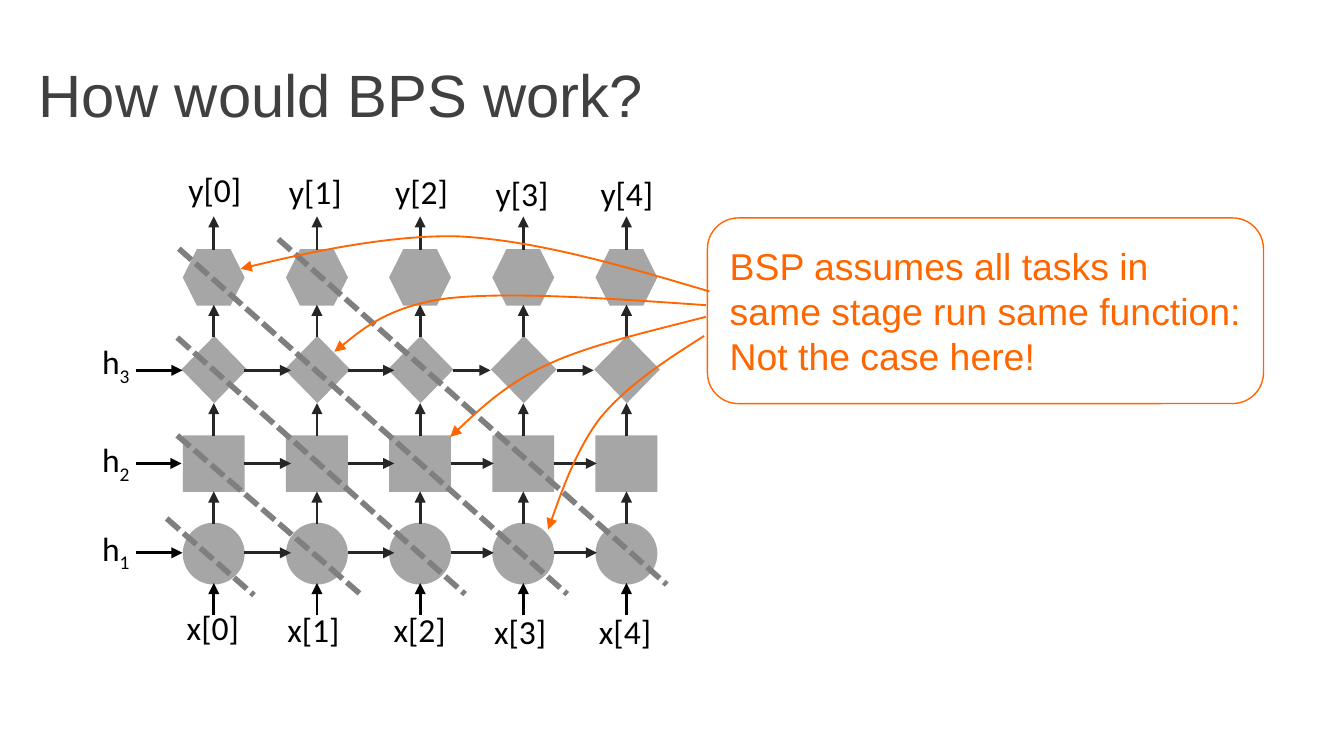
from dataclasses import dataclass

from lxml.etree import SubElement
from pptx import Presentation
from pptx.dml.color import RGBColor
from pptx.enum.dml import MSO_LINE
from pptx.enum.shapes import MSO_CONNECTOR, MSO_SHAPE
from pptx.enum.text import MSO_ANCHOR, PP_ALIGN
from pptx.oxml.ns import qn
from pptx.util import Cm, Pt

BLACK = RGBColor(0x00, 0x00, 0x00)
CHARCOAL = RGBColor(0x26, 0x26, 0x26)
TITLE_GRAY = RGBColor(0x40, 0x40, 0x40)
DASH_GRAY = RGBColor(0x7F, 0x7F, 0x7F)
NODE_GRAY = RGBColor(0xA6, 0xA6, 0xA6)
ORANGE = RGBColor(0xFF, 0x66, 0x00)

COLUMNS = 5
PITCH = 1.95
FIRST_CENTER = 4.04
LABEL_LEFTS = (3.28, 5.18, 7.19, 9.09, 11.07)
LABEL_DROPS = (0, 0.04, 0.04, 0.07, 0.07)


@dataclass
class Layer:
    """One row of equal nodes, lengths in centimetres."""
    kind: MSO_SHAPE
    center: float
    top: float
    width: float
    height: float


@dataclass
class State:
    """The hidden state feeding a layer from left to right."""
    index: str
    label_top: float
    arrow_y: float
    first_end: float
    late_start: float
    late_length: float


@dataclass
class Curve:
    """Two joined cubic curves; the last control point is the tip."""
    start: tuple
    controls: tuple
    middle: tuple
    last_control: tuple
    tip: tuple


LAYERS = [
    Layer(MSO_SHAPE.RECTANGLE, 4.04, 8.23, 1.17, 1.07),
    Layer(MSO_SHAPE.OVAL, 4.04, 9.88, 1.17, 1.17),
    Layer(MSO_SHAPE.DIAMOND, 4.05, 6.35, 1.24, 1.27),
    Layer(MSO_SHAPE.HEXAGON, 4.04, 4.71, 1.17, 1.07),
]
STATES = [
    State("3", 6.2, 7.0, 3.45, 8.57, 0.7),
    State("2", 8.05, 8.76, 3.43, 8.53, 0.8),
    State("1", 9.73, 10.45, 3.45, 8.53, 0.8),
]
RISES = [(9.91, 9.29), (8.25, 7.62), (6.37, 5.76), (4.72, 4.09)]
INPUT_RISE = (11.63, 11.02)
DIAGONALS = [
    (3.38, 4.7, 10.72, 11.23),
    (5.26, 4.52, 12.6, 11.05),
    (3.35, 6.38, 8.79, 11.23),
    (3.35, 8.23, 6.81, 11.23),
    (3.15, 9.8, 4.8, 11.25),
]
CURVES = [
    Curve((13.41, 5.51), ((11.79, 5.03), (10.16, 4.55)), (8.69, 4.47), (7.21, 4.42), (4.55, 5.08)),
    Curve((13.34, 5.77), ((11.48, 5.64), (9.63, 5.51)), (8.46, 5.64), (7.29, 5.79), (6.32, 6.65)),
    Curve((13.34, 5.99), ((12.22, 6.28), (11.1, 6.53)), (10.31, 6.91), (9.5, 7.29), (8.51, 8.26)),
    Curve((13.31, 6.35), ((12.55, 6.83), (11.81, 7.32)), (11.33, 7.92), (10.85, 8.56), (10.36, 10.01)),
]


def add_run(paragraph, text: str, font_name: str, size: float, color: RGBColor):
    """Append a formatted run and return it."""
    run = paragraph.add_run()
    run.text = text
    run.font.name = font_name
    run.font.size = Pt(size)
    run.font.color.rgb = color
    return run


def add_arrowhead(shape) -> None:
    """Put a triangle at the end of a shape's outline."""
    SubElement(shape.line._get_or_add_ln(), qn("a:tailEnd"), type="triangle")


def add_line(slide, start: tuple, end: tuple, color: RGBColor, width: float):
    """Draw a straight connector without shadow."""
    connector = slide.shapes.add_connector(
        MSO_CONNECTOR.STRAIGHT, *(Cm(value) for value in (*start, *end)))
    connector.line.color.rgb = color
    connector.line.width = Pt(width)
    SubElement(connector._element.spPr, qn("a:effectLst"))
    return connector


def add_arrow(slide, start: tuple, end: tuple, color: RGBColor) -> None:
    """Draw a straight arrow."""
    add_arrowhead(add_line(slide, start, end, color, 1.5))


def add_label(slide, left: float, top: float, width: float, text: str, subscript: str = "") -> None:
    """Write a short label, with an optional subscript."""
    box = slide.shapes.add_textbox(Cm(left), Cm(top), Cm(width), Cm(0.94))
    frame = box.text_frame
    frame.word_wrap = True
    frame.margin_left = frame.margin_right = Cm(0.25)
    frame.margin_top = frame.margin_bottom = Cm(0.25)
    paragraph = frame.paragraphs[0]
    add_run(paragraph, text, "Calibri", 18, BLACK)
    if subscript:
        run = add_run(paragraph, subscript, "Calibri", 18, BLACK)
        run._r.get_or_add_rPr().set("baseline", "-25000")


def add_layer(slide, layer: Layer) -> None:
    """Draw one row of nodes."""
    for column in range(COLUMNS):
        left = layer.center + column * PITCH - layer.width / 2
        node = slide.shapes.add_shape(
            layer.kind, Cm(left), Cm(layer.top), Cm(layer.width), Cm(layer.height))
        node.shadow.inherit = False
        node.fill.solid()
        node.fill.fore_color.rgb = NODE_GRAY
        node.line.fill.background()


def add_state(slide, state: State) -> None:
    """Draw a state label and the arrows along its layer."""
    add_label(slide, 1.68, state.label_top, 1.19, "h", state.index)
    y = state.arrow_y
    add_arrow(slide, (2.57, y), (state.first_end, y), BLACK)
    for column in range(COLUMNS - 1):
        early = column < 2
        start = 4.62 + column * PITCH if early else state.late_start + (column - 2) * PITCH
        end = start + (0.88 if early else state.late_length)
        add_arrow(slide, (start, y), (end, y), CHARCOAL)


def add_column(slide, column: int) -> None:
    """Draw the upward arrows, input and output of one time step."""
    x = FIRST_CENTER + column * PITCH
    for bottom, top in RISES:
        add_arrow(slide, (x, bottom), (x, top), CHARCOAL)
    add_arrow(slide, (x, INPUT_RISE[0]), (x, INPUT_RISE[1]), BLACK)
    for name, shift, top in (("x", 0, 11.23), ("y", 0.03, 2.95)):
        add_label(slide, LABEL_LEFTS[column] + shift, top + LABEL_DROPS[column],
                  1.52, f"{name}[{column}]")


def add_curve(slide, curve: Curve) -> None:
    """Draw a curved orange arrow, bending straight segments into cubic ones."""
    builder = slide.shapes.build_freeform(Cm(curve.start[0]), Cm(curve.start[1]))
    builder.add_line_segments(
        [(Cm(x), Cm(y)) for x, y in (curve.middle, curve.tip)], close=False)
    shape = builder.convert_to_shape()
    bends = ((*curve.controls, curve.middle), (curve.last_control, curve.tip, curve.tip))
    for segment, points in zip(list(shape._element.iter(qn("a:lnTo"))), bends):
        cubic = SubElement(segment.getparent(), qn("a:cubicBezTo"))
        for x, y in points:
            SubElement(cubic, qn("a:pt"), x=str(Cm(x) - shape.left), y=str(Cm(y) - shape.top))
        segment.getparent().remove(segment)
    shape.shadow.inherit = False
    shape.fill.background()
    shape.line.color.rgb = ORANGE
    shape.line.width = Pt(1)
    add_arrowhead(shape)


def add_callout(slide) -> None:
    """Draw the rounded remark on the right."""
    callout = slide.shapes.add_shape(
        MSO_SHAPE.ROUNDED_RECTANGLE, Cm(13.37), Cm(4.12), Cm(10.51), Cm(3.51))
    callout.shadow.inherit = False
    callout.fill.background()
    callout.line.color.rgb = ORANGE
    callout.line.width = Pt(0.75)
    frame = callout.text_frame
    frame.word_wrap = True
    frame.margin_right = Cm(0.1)
    frame.vertical_anchor = MSO_ANCHOR.MIDDLE
    first, second = frame.paragraphs[0], frame.add_paragraph()
    first.alignment = second.alignment = PP_ALIGN.LEFT
    add_run(first, "BSP assumes all tasks in ", "Arial", 20, ORANGE)
    first.add_line_break()
    add_run(first, "same stage run same function: ", "Arial", 20, ORANGE)
    add_run(second, "Not the case here!", "Arial", 20, ORANGE)


def add_title(slide) -> None:
    """Place and format the title."""
    title = slide.shapes.title
    title.left, title.top, title.width, title.height = Cm(0.48), Cm(0.58), Cm(24.59), Cm(2.39)
    title.text_frame.vertical_anchor = MSO_ANCHOR.MIDDLE
    paragraph = title.text_frame.paragraphs[0]
    paragraph.alignment = PP_ALIGN.LEFT
    add_run(paragraph, "How would BPS work?", "Arial", 32, TITLE_GRAY)


presentation = Presentation()
presentation.slide_width, presentation.slide_height = Cm(25.4), Cm(14.29)
slide = presentation.slides.add_slide(presentation.slide_layouts[5])
add_title(slide)
for layer in LAYERS:
    add_layer(slide, layer)
for state in STATES:
    add_state(slide, state)
for column in range(COLUMNS):
    add_column(slide, column)
for x1, y1, x2, y2 in DIAGONALS:
    diagonal = add_line(slide, (x1, y1), (x2, y2), DASH_GRAY, 3)
    diagonal.line.dash_style = MSO_LINE.SQUARE_DOT
add_callout(slide)
for curve in CURVES:
    add_curve(slide, curve)
presentation.save("out.pptx")
